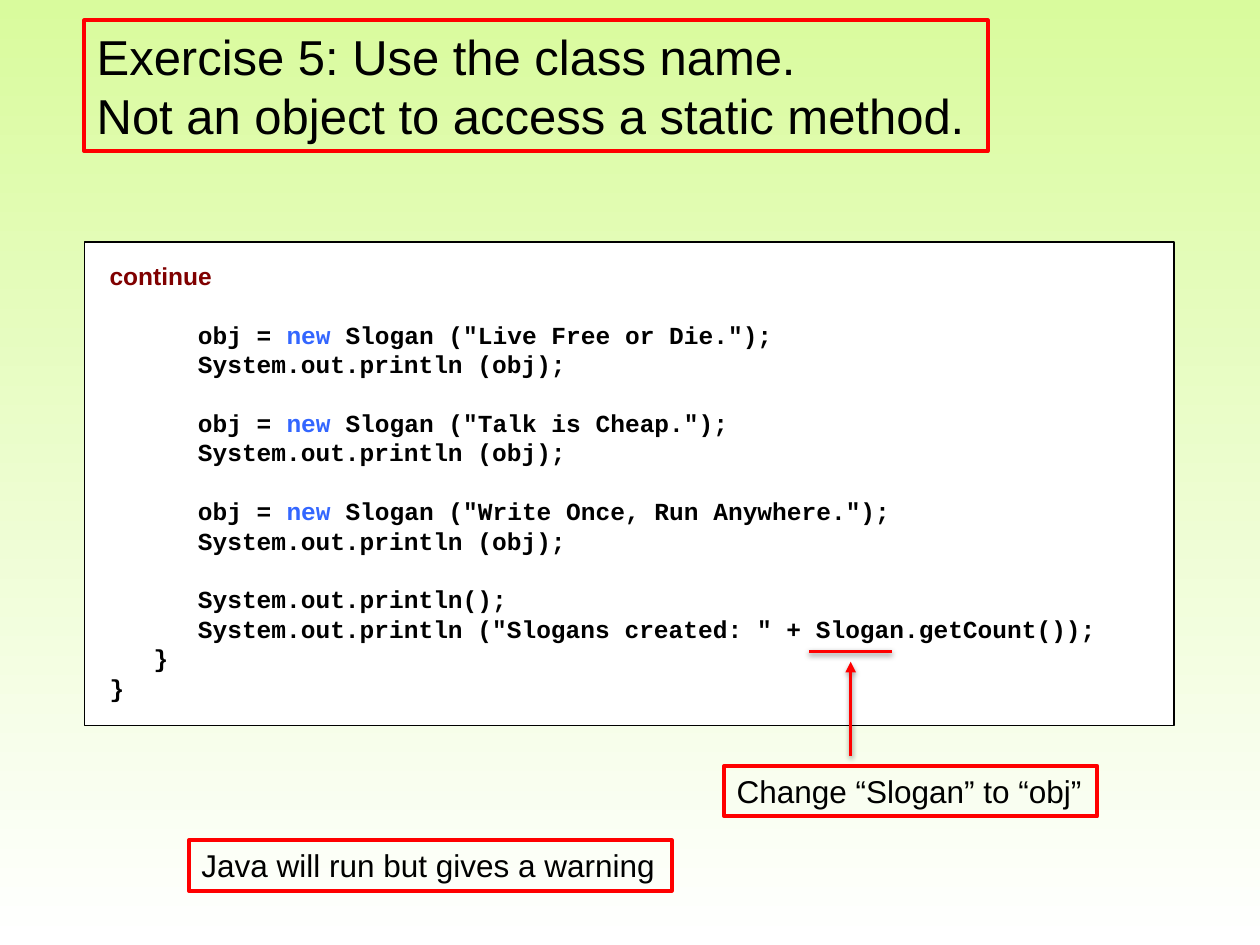
"""Build the static method exercise slide."""
from dataclasses import dataclass

from lxml import etree
from pptx import Presentation
from pptx import util as u
from pptx.dml.color import RGBColor
from pptx.enum import shapes, text
from pptx.oxml import parse_xml
from pptx.oxml.ns import nsdecls, qn

COLORS = {
    "sky": "D9FB9D", "white": "FFFFFF", "black": "000000",
    "red": "FF0000", "maroon": "800000", "keyword": "3366FF",
}
LINE_FACTOR = 1.2
CODE_SIZE = 14
HEADING = "continue"
CODE = """
      obj = new Slogan ("Live Free or Die.");
      System.out.println (obj);

      obj = new Slogan ("Talk is Cheap.");
      System.out.println (obj);

      obj = new Slogan ("Write Once, Run Anywhere.");
      System.out.println (obj);

      System.out.println();
      System.out.println ("Slogans created: " + Slogan.getCount());
   }
}"""


@dataclass
class Label:
    """A red-framed text; lengths in centimetres, size in points."""
    left: float
    top: float
    width: float
    height: float
    size: int
    lines: tuple[str, ...]


@dataclass
class Mark:
    """A red line from one point to another, in centimetres."""
    x1: float
    y1: float
    x2: float
    y2: float
    arrow: bool = False


LABELS = [
    Label(14.6, 15.44, 7.52, 1.02, 18, ("Change “Slogan” to “obj”",)),
    Label(1.7, 0.41, 18.21, 2.64, 28,
          ("Exercise 5: Use the class name.", "Not an object to access a static method.")),
    Label(3.81, 16.94, 9.73, 1.02, 18, ("Java will run but gives a warning",)),
]
MARKS = [
    Mark(16.31, 13.13, 17.98, 13.13),
    Mark(17.15, 15.24, 17.15, 13.34, arrow=True),
]


def rgb(name: str) -> RGBColor:
    """Look up a named colour."""
    return RGBColor.from_string(COLORS[name])


def style_paragraph(paragraph, size: int, font: str, color: str, bold: bool = False) -> None:
    """Set the font and line pitch of a paragraph."""
    paragraph.alignment = text.PP_ALIGN.LEFT
    paragraph.line_spacing = u.Pt(size * LINE_FACTOR)
    paragraph.font.size = u.Pt(size)
    paragraph.font.name = font
    paragraph.font.bold = bold
    paragraph.font.color.rgb = rgb(color)


def draw_background(slide) -> None:
    """Fade the background from green to white, top to bottom."""
    fill = slide.background.fill
    fill.gradient()
    fill.gradient_angle = 270
    for stop, color in zip(fill.gradient_stops, ("sky", "white")):
        stop.color.rgb = rgb(color)


def draw_listing(slide) -> None:
    """Draw the code listing with its keywords coloured."""
    listing = slide.shapes.add_shape(
        shapes.MSO_SHAPE.RECTANGLE, u.Cm(1.7), u.Cm(4.88), u.Cm(21.97), u.Cm(9.75))
    listing.shadow.inherit = False
    listing.fill.solid()
    listing.fill.fore_color.rgb = rgb("white")
    listing.line.color.rgb = rgb("black")
    listing.line.width = u.Pt(0.75)
    frame = listing.text_frame
    frame.word_wrap = True
    frame.vertical_anchor = text.MSO_ANCHOR.TOP
    frame.margin_left = frame.margin_right = u.Cm(0.51)
    frame.margin_top = frame.margin_bottom = u.Cm(0.38)
    heading = frame.paragraphs[0]
    heading.add_run().text = HEADING
    style_paragraph(heading, CODE_SIZE, "Arial", "maroon", bold=True)
    after_gap = False
    for line in CODE.split("\n"):
        if not line:
            after_gap = True
            continue
        statement = frame.add_paragraph()
        for part in line.partition("new "):
            if part:
                run = statement.add_run()
                run.text = part
                if part == "new ":
                    run.font.color.rgb = rgb("keyword")
        style_paragraph(statement, CODE_SIZE, "Courier New", "black", bold=True)
        if after_gap:
            statement.space_before = u.Pt(CODE_SIZE * LINE_FACTOR)
        after_gap = False


def draw_label(slide, label: Label) -> None:
    """Draw a red-framed label."""
    box = slide.shapes.add_textbox(
        u.Cm(label.left), u.Cm(label.top), u.Cm(label.width), u.Cm(label.height))
    box.line.color.rgb = rgb("red")
    box.line.width = u.Pt(2.25)
    frame = box.text_frame
    frame.word_wrap = False
    for index, line in enumerate(label.lines):
        paragraph = frame.add_paragraph() if index else frame.paragraphs[0]
        paragraph.add_run().text = line
        style_paragraph(paragraph, label.size, "Arial", "black")


def draw_mark(slide, mark: Mark) -> None:
    """Draw a red line with a soft shadow and an optional arrowhead."""
    line = slide.shapes.add_connector(
        shapes.MSO_CONNECTOR.STRAIGHT,
        u.Cm(mark.x1), u.Cm(mark.y1), u.Cm(mark.x2), u.Cm(mark.y2))
    line.line.color.rgb = rgb("red")
    line.line.width = u.Pt(2)
    properties = line._element.spPr
    if mark.arrow:
        etree.SubElement(properties.find(qn("a:ln")), qn("a:tailEnd"), type="triangle")
    properties.append(parse_xml(
        f'<a:effectLst {nsdecls("a")}>'
        f'<a:outerShdw blurRad="{u.Pt(3.1)}" dist="{u.Pt(1.6)}" dir="5400000" rotWithShape="0">'
        f'<a:srgbClr val="{COLORS["black"]}"><a:alpha val="38000"/></a:srgbClr>'
        '</a:outerShdw></a:effectLst>'))


def main() -> None:
    """Build and save the slide."""
    deck = Presentation()
    deck.slide_width, deck.slide_height = u.Cm(25.4), u.Cm(19.05)
    slide = deck.slides.add_slide(deck.slide_layouts[6])
    draw_background(slide)
    draw_listing(slide)
    for label in LABELS:
        draw_label(slide, label)
    for mark in MARKS:
        draw_mark(slide, mark)
    deck.save("out.pptx")


if __name__ == "__main__":
    main()
